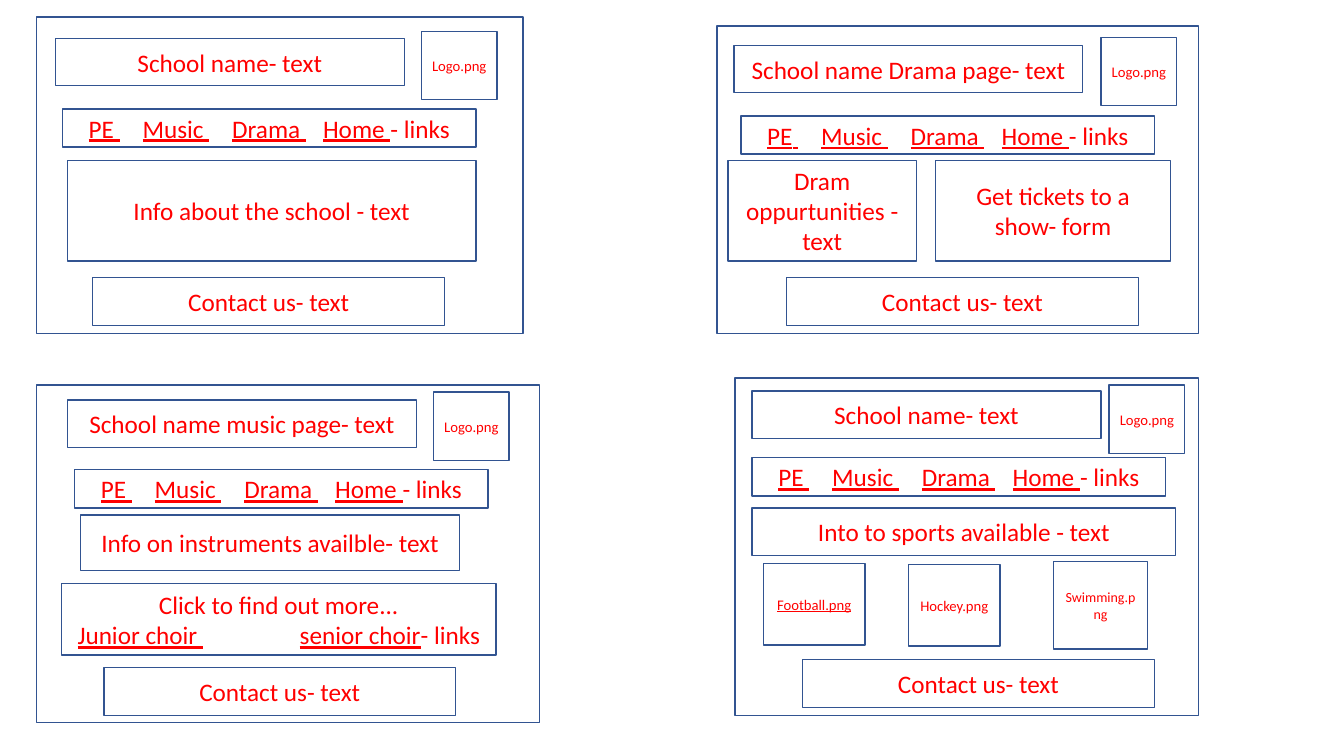
import pptx
import pptx.dml.color
import pptx.enum.shapes
import pptx.enum.text
import pptx.util

Inches = pptx.util.Inches
Pt = pptx.util.Pt
COLORS = {"fill": "FFFFFF", "line": "325491", "text": "FF0000"}
FONT = "Calibri"

# Sizes shared by the parts that every page has
TITLE = (3.46, 0.47)
LOGO = (0.75, 0.68)
NAV = (4.1, 0.38)
FOOT = (3.49, 0.48)

# Page frame, then title words and the corners of the shared parts
PAGES = [
    {"frame": (0.36, 0.17, 4.83, 3.14), "name": "School name- text",
     "title": (0.55, 0.38), "logo": (4.18, 0.31),
     "nav": (0.62, 1.08), "foot": (0.92, 2.75)},
    {"frame": (7.11, 0.26, 4.78, 3.05), "name": "School name Drama page- text",
     "title": (7.28, 0.45), "logo": (10.92, 0.37),
     "nav": (7.35, 1.15), "foot": (7.8, 2.75)},
    {"frame": (0.36, 3.82, 4.99, 3.35), "name": "School name music page- text",
     "title": (0.67, 3.97), "logo": (4.3, 3.89),
     "nav": (0.74, 4.66), "foot": (1.03, 6.62)},
    {"frame": (7.29, 3.75, 4.6, 3.35), "name": "School name- text",
     "title": (7.46, 3.88), "logo": (11, 3.82),
     "nav": (7.46, 4.54), "foot": (7.96, 6.54)},
]

# Content boxes: place and words
INFO = [
    ((0.67, 1.59, 4.05, 1), "Info about the school - text"),
    ((7.22, 1.59, 1.87, 1), "Dram oppurtunities - text"),
    ((9.28, 1.59, 2.33, 1), "Get tickets to a show- form"),
    ((0.8, 5.11, 3.76, 0.55), "Info on instruments availble- text"),
    ((7.46, 5.04, 4.2, 0.47), "Into to sports available - text"),
]

# Sport images: place, file name, size, underline
SPORTS = [
    ((7.57, 5.59, 1.01, 0.81), "Football.png", 10.5, True),
    ((9.01, 5.6, 0.91, 0.81), "Hockey.png", 10.5, False),
    ((10.45, 5.57, 0.93, 0.87), "Swimming.png", 10, False),
]


def tint(name):
    """Return a named colour."""
    return pptx.dml.color.RGBColor.from_string(COLORS[name])


def add_box(slide, place):
    """Add a white box with a thin blue outline."""
    box = slide.shapes.add_shape(
        pptx.enum.shapes.MSO_SHAPE.RECTANGLE, *map(Inches, place))
    box.shadow.inherit = False
    box.fill.solid()
    box.fill.fore_color.rgb = tint("fill")
    box.line.color.rgb = tint("line")
    box.line.width = Pt(1)
    return box


def add_run(para, text, size=18, under=False, gap=0):
    """Add a red run; gap is extra letter spacing in points."""
    run = para.add_run()
    run.text = text
    run.font.name = FONT
    run.font.size = Pt(size)
    run.font.color.rgb = tint("text")
    run.font.underline = under
    if gap:
        run._r.get_or_add_rPr().set("spc", str(round(gap * 100)))


def add_links(para, words, gaps):
    """Add underlined words, with one widened space between each pair."""
    for word, gap in zip(words, gaps + [0]):
        add_run(para, word, under=True)
        if gap:
            add_run(para, " ", under=True, gap=gap)
    add_run(para, "- links")


def add_lines(slide, place, count=1):
    """Add a box and return its centred paragraphs."""
    frame = add_box(slide, place).text_frame
    frame.word_wrap = True
    frame.vertical_anchor = pptx.enum.text.MSO_ANCHOR.MIDDLE
    for _ in range(count - 1):
        frame.add_paragraph()
    for para in frame.paragraphs:
        para.alignment = pptx.enum.text.PP_ALIGN.CENTER
    return frame.paragraphs


def add_label(slide, place, text, size=18, under=False):
    """Add a box with one line of words."""
    add_run(add_lines(slide, place)[0], text, size, under)


def add_page(slide, page):
    """Add the title, logo, links and contact boxes of a page."""
    add_label(slide, page["title"] + TITLE, page["name"])
    add_label(slide, page["logo"] + LOGO, "Logo.png", 10.5)
    nav = add_lines(slide, page["nav"] + NAV)[0]
    add_links(nav, ["PE", "Music", "Drama", "Home "], [16.3, 16.3, 12.2])
    add_label(slide, page["foot"] + FOOT, "Contact us- text")


def add_choirs(slide):
    """Add the box that links to the two choirs."""
    top, links = add_lines(slide, (0.61, 5.79, 4.31, 0.71), 2)
    add_run(top, "Click to find out more...")
    add_links(links, ["Junior choir", "senior choir"], [69])


def main():
    """Build the four page layouts on one slide."""
    deck = pptx.Presentation()
    deck.slide_width = Inches(13.33)
    deck.slide_height = Inches(7.5)
    slide = deck.slides.add_slide(deck.slide_layouts[6])
    for page in PAGES:
        add_box(slide, page["frame"])
    for page in PAGES:
        add_page(slide, page)
    for place, text in INFO:
        add_label(slide, place, text)
    add_choirs(slide)
    for sport in SPORTS:
        add_label(slide, *sport)
    deck.save("out.pptx")


main()
